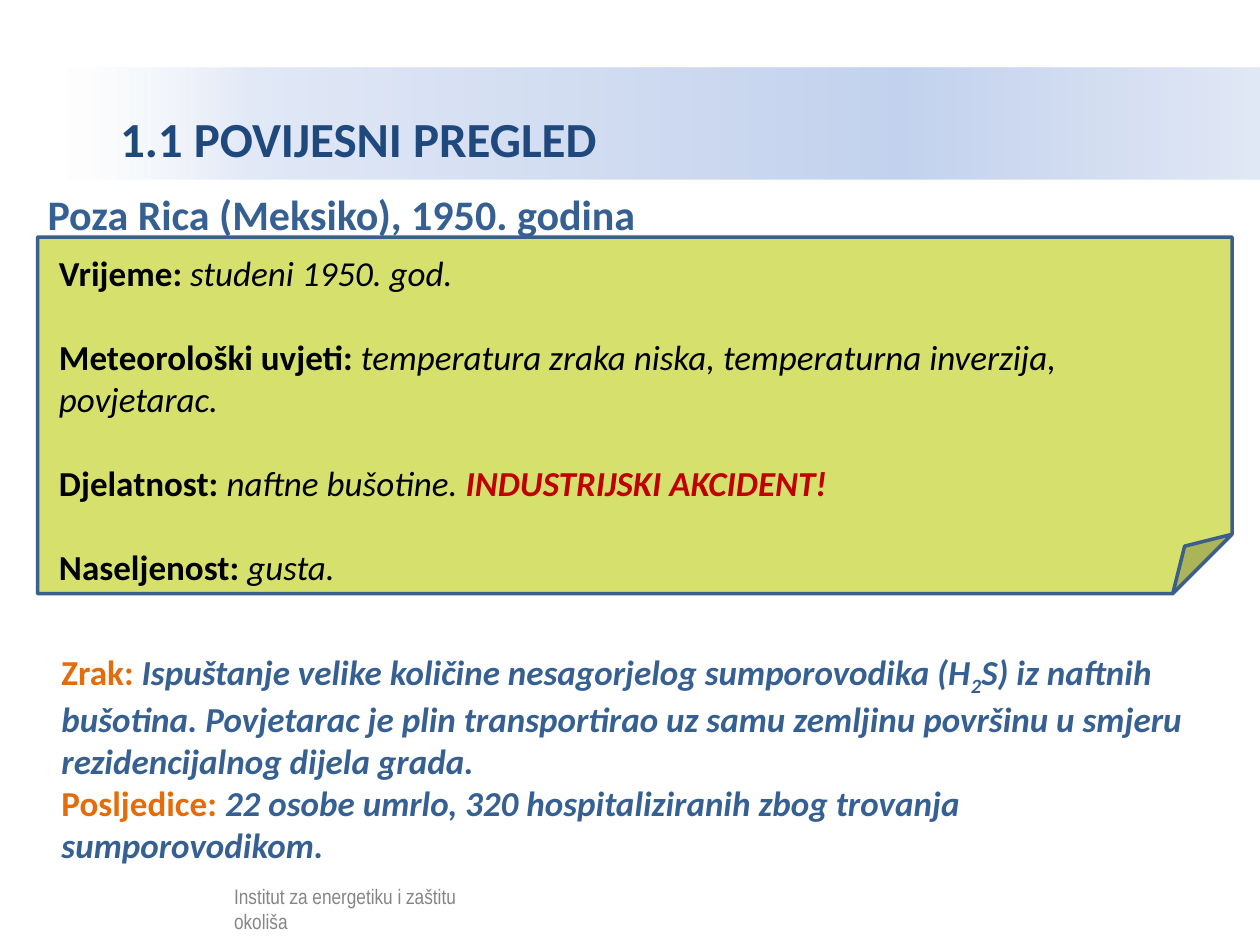
from dataclasses import dataclass

from lxml.etree import SubElement
from pptx import Presentation
from pptx.dml.color import RGBColor
from pptx.enum.shapes import MSO_SHAPE
from pptx.enum.text import MSO_ANCHOR, MSO_AUTO_SIZE, PP_ALIGN
from pptx.oxml.ns import qn
from pptx.util import Cm, Pt


@dataclass(frozen=True)
class Theme:
    font: str = "Calibri"
    footer_font: str = "Arial Narrow"
    title_size: int = 28
    heading_size: int = 24
    text_size: int = 20
    footer_size: int = 12
    title: str = "1F497D"
    blue: str = "376092"
    orange: str = "E46C0A"
    red: str = "C00000"
    black: str = "000000"
    white: str = "FFFFFF"
    note: str = "D6E16D"
    note_line: str = "3A5F8C"
    veil_opacity: int = 52000
    band: tuple = ((0, "FFFFFF", 52000), (16, "E1E8F6", 100000),
                   (70, "C2D1ED", 100000), (100, "E1E8F5", 100000))


theme = Theme()


def add_text(slide, left, top, width, height, paragraphs, size, font=theme.font, gap=0):
    shape = slide.shapes.add_textbox(Cm(left), Cm(top), Cm(width), Cm(height))
    shape.text_frame.word_wrap = True
    for index, runs in enumerate(paragraphs):
        frame = shape.text_frame
        paragraph = frame.add_paragraph() if index else frame.paragraphs[0]
        paragraph.font.name = font
        paragraph.font.size = Pt(size)
        paragraph.space_before = Pt(gap if index else 0)
        for text, color, bold, italic in runs:
            run = paragraph.add_run()
            run.text = text
            run.font.bold = bold
            run.font.italic = italic
            run.font.color.rgb = RGBColor.from_string(color)
    return shape


presentation = Presentation()
presentation.slide_width = Cm(25.4)
presentation.slide_height = Cm(19.05)
slide = presentation.slides.add_slide(presentation.slide_layouts[5])

title = slide.shapes.title
title.left, title.top, title.width, title.height = Cm(1.27), Cm(1.37), Cm(24.13), Cm(2.24)
title.fill.gradient()
title.fill.gradient_angle = 0
stops = title.fill._fill._gradFill.find(qn("a:gsLst"))
for stop in list(stops):
    stops.remove(stop)
for position, color, opacity in theme.band:
    stop = SubElement(stops, qn("a:gs"), pos=str(position * 1000))
    color_element = SubElement(stop, qn("a:srgbClr"), val=color)
    SubElement(color_element, qn("a:alpha"), val=str(opacity))
title.text_frame.text = "1.1 POVIJESNI PREGLED"
title.text_frame.auto_size = MSO_AUTO_SIZE.NONE
title.text_frame.vertical_anchor = MSO_ANCHOR.MIDDLE
title.text_frame.margin_left = Cm(1.15)
paragraph = title.text_frame.paragraphs[0]
paragraph.alignment = PP_ALIGN.LEFT
paragraph.line_spacing = 1.5
paragraph.font.name = theme.font
paragraph.font.size = Pt(theme.title_size)
paragraph.font.bold = True
paragraph.font.color.rgb = RGBColor.from_string(theme.title)

add_text(slide, 4.47, 17.68, 5.31, 0.64,
         [[("Institut za energetiku i zaštitu okoliša", theme.black, False, False)]],
         theme.footer_size, theme.footer_font)

veil = slide.shapes.add_shape(MSO_SHAPE.RECTANGLE, Cm(1.04), Cm(17.6), Cm(9.7), Cm(1.22))
veil.shadow.inherit = False
veil.line.fill.background()
veil.fill.solid()
veil.fill.fore_color.rgb = RGBColor.from_string(theme.white)
veil_color = veil.fill._fill._solidFill.find(qn("a:srgbClr"))
SubElement(veil_color, qn("a:alpha"), val=str(theme.veil_opacity))

add_text(slide, 0.71, 3.68, 22.28, 1.27,
         [[("Poza Rica (Meksiko), 1950. godina", theme.blue, True, False)]],
         theme.heading_size)

note = slide.shapes.add_shape(MSO_SHAPE.FOLDED_CORNER, Cm(0.76), Cm(4.78), Cm(24.08), Cm(7.19))
note.shadow.inherit = False
note.fill.solid()
note.fill.fore_color.rgb = RGBColor.from_string(theme.note)
note.line.color.rgb = RGBColor.from_string(theme.note_line)
note.line.width = Pt(2)

facts = [
    ("Vrijeme: ", "studeni 1950. god.", ""),
    ("Meteorološki uvjeti: ", "temperatura zraka niska, temperaturna inverzija, povjetarac.", ""),
    ("Djelatnost: ", "naftne bušotine. ", "INDUSTRIJSKI AKCIDENT!"),
    ("Naseljenost: ", "gusta.", ""),
]
fact_paragraphs = []
for label, value, warning in facts:
    runs = [(label, theme.black, True, False), (value, theme.black, False, True)]
    if warning:
        runs.append((warning, theme.red, True, True))
    fact_paragraphs.append(runs)
add_text(slide, 0.94, 4.95, 22.89, 7.09, fact_paragraphs, theme.text_size, gap=24)

effects = [
    ("Zrak: ", "Ispuštanje velike količine nesagorjelog sumporovodika (H", "2",
     "S) iz naftnih bušotina. Povjetarac je plin transportirao uz samu zemljinu površinu "
     "u smjeru rezidencijalnog dijela grada."),
    ("Posljedice: ", "22 osobe umrlo, 320 hospitaliziranih zbog trovanja sumporovodikom."),
]
effect_paragraphs = [
    [(label, theme.orange, True, False)] + [(text, theme.blue, True, True) for text in texts]
    for label, *texts in effects
]
effects_box = add_text(slide, 0.99, 12.98, 23.83, 6.05, effect_paragraphs, theme.text_size)
subscript = effects_box.text_frame.paragraphs[0].runs[2]
subscript.font._element.set("baseline", "-25000")

presentation.save("out.pptx")
